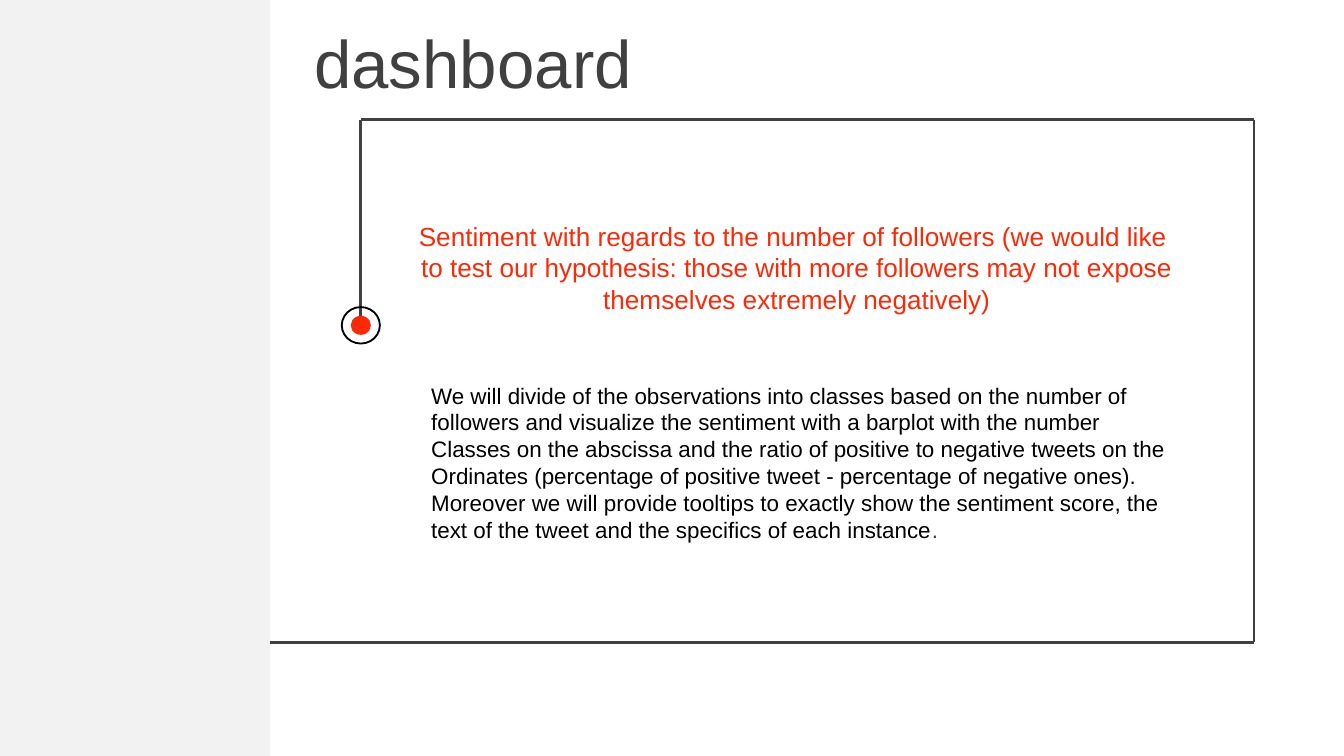
import pptx
import pptx.util
import pptx.dml.color
import pptx.enum.shapes
import pptx.enum.text
import pptx.oxml.ns
import lxml.etree

Cm = pptx.util.Cm
Pt = pptx.util.Pt
RGBColor = pptx.dml.color.RGBColor
Shape = pptx.enum.shapes.MSO_SHAPE
Align = pptx.enum.text.PP_ALIGN
Anchor = pptx.enum.text.MSO_ANCHOR

PANEL_GRAY = RGBColor(0xF2, 0xF2, 0xF2)
DARK_GRAY = RGBColor(0x40, 0x40, 0x40)
ACCENT_RED = RGBColor(0xFD, 0x29, 0x06)
BLACK = RGBColor(0, 0, 0)

PAGE_WIDTH, PAGE_HEIGHT = 25.4, 14.29
PANEL_RIGHT = 5.1
FRAME_LEFT, FRAME_RIGHT = 6.82, 23.7
FRAME_TOP, FRAME_BOTTOM = 2.26, 12.14
MARKER_Y = 6.15

HEADING = [
    "Sentiment with regards to the number of followers (we would like ",
    "to test our hypothesis: those with more followers may not expose "
    "themselves extremely negatively)",
]
EXPLANATION = [
    "We will divide of the observations into classes based on the number of",
    "followers and visualize the sentiment with a barplot with the number ",
    "Classes on the abscissa and the ratio of positive to negative tweets on the ",
    "Ordinates (percentage of positive tweet - percentage of negative ones).",
    "Moreover we will provide tooltips to exactly show the sentiment score, the ",
    "text of the tweet and the specifics of each instance",
]


def add_span(para, text, size, color):
    span = para.add_run()
    span.text = text
    span.font.name = "Arial"
    span.font.size = Pt(size)
    span.font.color.rgb = color


def add_text(page, lines, left, top, width, height, *, size, color,
             align=Align.LEFT, anchor=Anchor.TOP):
    """Add a text box with one paragraph for each line."""
    box = page.shapes.add_textbox(Cm(left), Cm(top), Cm(width), Cm(height))
    frame = box.text_frame
    frame.word_wrap = True
    frame.vertical_anchor = anchor
    for index, line in enumerate(lines):
        para = frame.add_paragraph() if index else frame.paragraphs[0]
        para.alignment = align
        add_span(para, line, size, color)
    return box


def add_shape(page, kind, left, top, width, height, fill=None, line=None):
    shape = page.shapes.add_shape(kind, Cm(left), Cm(top), Cm(width), Cm(height))
    shape.shadow.inherit = False
    if fill is None:
        shape.fill.background()
    else:
        shape.fill.solid()
        shape.fill.fore_color.rgb = fill
    if line is None:
        shape.line.fill.background()
    else:
        shape.line.color.rgb = line
        shape.line.width = Pt(1)


def add_centered_ellipse(page, x, y, width, height, **style):
    add_shape(page, Shape.OVAL, x - width / 2, y - height / 2, width, height, **style)


def add_line(page, start, end):
    line = page.shapes.add_connector(
        pptx.enum.shapes.MSO_CONNECTOR.STRAIGHT,
        Cm(start[0]), Cm(start[1]), Cm(end[0]), Cm(end[1]))
    line.line.color.rgb = DARK_GRAY
    line.line.width = Pt(1.5)
    lxml.etree.SubElement(line._element.spPr, pptx.oxml.ns.qn("a:effectLst"))


def main():
    deck = pptx.Presentation()
    deck.slide_width, deck.slide_height = Cm(PAGE_WIDTH), Cm(PAGE_HEIGHT)
    page = deck.slides.add_slide(deck.slide_layouts[6])

    # Side panel and title
    add_shape(page, Shape.RECTANGLE, 0, 0, PANEL_RIGHT, PAGE_HEIGHT, fill=PANEL_GRAY)
    add_text(page, ["dashboard"], 5.69, 0.36, 19.2, 1.6,
             size=36, color=DARK_GRAY, anchor=Anchor.MIDDLE)

    # Open frame, from the marker round to the side panel
    corners = [(FRAME_LEFT, MARKER_Y - 0.18), (FRAME_LEFT, FRAME_TOP),
               (FRAME_RIGHT, FRAME_TOP), (FRAME_RIGHT, FRAME_BOTTOM),
               (PANEL_RIGHT, FRAME_BOTTOM)]
    for start, end in zip(corners, corners[1:]):
        add_line(page, start, end)

    # Marker
    add_centered_ellipse(page, FRAME_LEFT, MARKER_Y, 0.38, 0.36, fill=ACCENT_RED)
    add_centered_ellipse(page, FRAME_LEFT, MARKER_Y, 0.72, 0.69, line=BLACK)

    # Heading and explanation
    add_text(page, HEADING, 7.62, 4.04, 14.88, 2.46,
             size=14, color=ACCENT_RED, align=Align.CENTER)
    explanation = add_text(page, EXPLANATION, 7.9, 7.09, 15.01, 4.01,
                           size=12, color=BLACK)
    add_span(explanation.text_frame.paragraphs[-1], ".", 12, DARK_GRAY)

    deck.save("out.pptx")


main()
